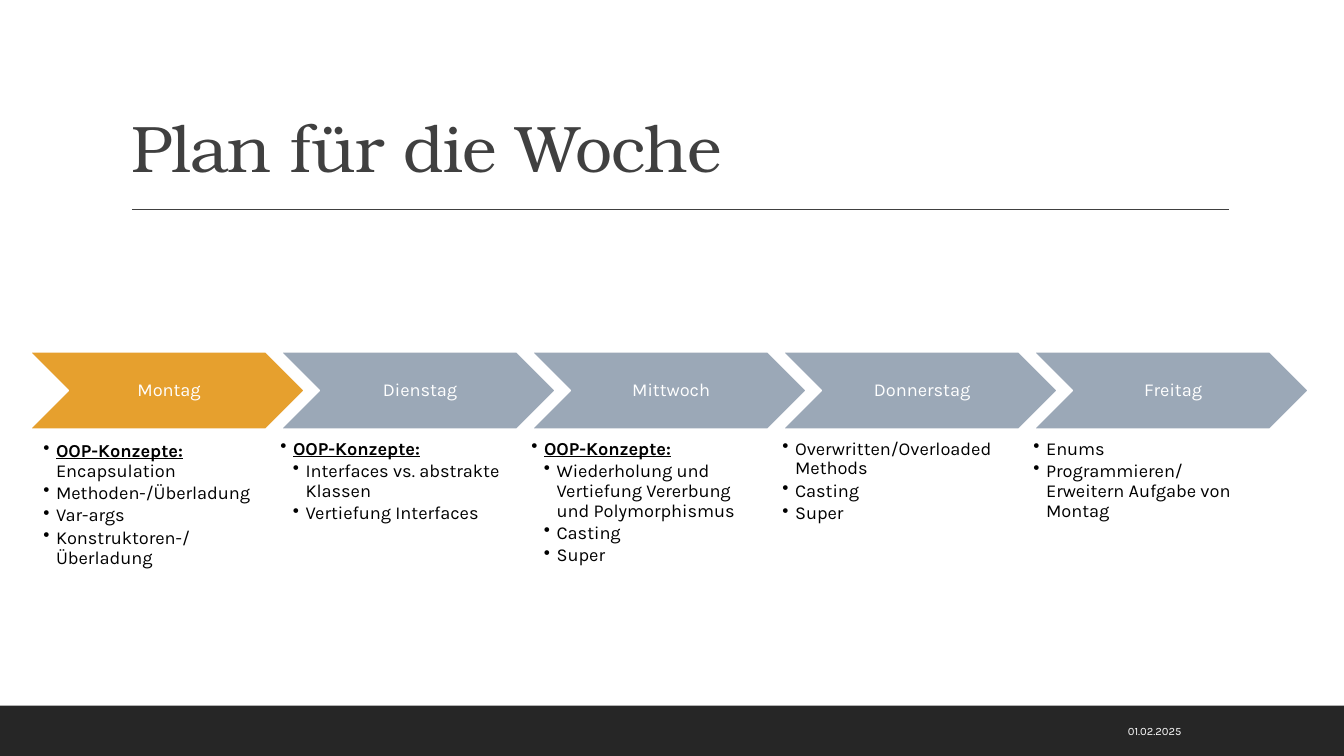
from lxml import etree
from pptx import Presentation
from pptx import util as u
from pptx.dml.color import RGBColor
from pptx.enum import shapes, text
from pptx.oxml.ns import qn

Pt = u.Pt
WHITE = RGBColor(0xFF, 0xFF, 0xFF)
BLACK = RGBColor(0, 0, 0)
CHARCOAL = RGBColor(0x26, 0x26, 0x26)
GREY = RGBColor(0x40, 0x40, 0x40)
ORANGE = RGBColor(0xE6, 0xA0, 0x2E)
BLUE_GREY = RGBColor(0x9B, 0xA8, 0xB7)

HEADING_FONT, BODY_FONT = "TeX Gyre Bonum", "Karla"
PAGE_WIDTH, PAGE_HEIGHT = 960, 540
DAY_STEP = 179.3
INDENT = 9

# Each list entry: level, underlined heading, plain text
DAYS = [
    ("Montag", ORANGE, [
        (1, "OOP-Konzepte: ", "Encapsulation"),
        (1, "", "Methoden-/Überladung"),
        (1, "", "Var-args"),
        (1, "", "Konstruktoren-/Überladung")]),
    ("Dienstag", BLUE_GREY, [
        (1, "OOP-Konzepte:", ""),
        (2, "", "Interfaces vs. abstrakte Klassen"),
        (2, "", "Vertiefung Interfaces")]),
    ("Mittwoch", BLUE_GREY, [
        (1, "OOP-Konzepte:", ""),
        (2, "", "Wiederholung und Vertiefung Vererbung und Polymorphismus"),
        (2, "", "Casting"),
        (2, "", "Super")]),
    ("Donnerstag", BLUE_GREY, [
        (1, "", "Overwritten/Overloaded Methods"),
        (1, "", "Casting"),
        (1, "", "Super")]),
    ("Freitag", BLUE_GREY, [
        (1, "", "Enums"),
        (1, "", "Programmieren/Erweitern Aufgabe von Montag")]),
]


def add_span(para, words, size, color, font=BODY_FONT, heading=False):
    span = para.add_run()
    span.text = words
    span.font.name, span.font.size = font, Pt(size)
    span.font.color.rgb = color
    span.font.bold = span.font.underline = heading
    return span


def set_frame(frame, anchor, insets):
    """Insets are left, top, right, bottom."""
    frame.word_wrap = True
    frame.auto_size = text.MSO_AUTO_SIZE.NONE
    frame.vertical_anchor = anchor
    (frame.margin_left, frame.margin_top,
     frame.margin_right, frame.margin_bottom) = map(Pt, insets)


def add_filled(page, kind, box, color):
    shape = page.shapes.add_shape(kind, *map(Pt, box))
    shape.shadow.inherit = False
    shape.fill.solid()
    shape.fill.fore_color.rgb = color
    return shape


def add_heading(page, box):
    left, top, width, height = box
    title = page.shapes.title
    title.left, title.top, title.width, title.height = map(Pt, box)
    set_frame(title.text_frame, text.MSO_ANCHOR.BOTTOM, (7.2, 3.6, 7.2, 3.6))
    para = title.text_frame.paragraphs[0]
    para.alignment = text.PP_ALIGN.LEFT
    para.line_spacing = 0.9
    span = add_span(para, "Plan für die Woche", 47, GREY, HEADING_FONT)
    span.font._element.set("spc", "-50")

    rule_y = Pt(top + height + 12.8)
    rule = page.shapes.add_connector(
        shapes.MSO_CONNECTOR.STRAIGHT, Pt(left + 7.9), rule_y, Pt(left + width - 0.7), rule_y)
    rule.line.color.rgb = GREY
    rule.line.width = Pt(1)
    etree.SubElement(rule._element.spPr, qn("a:effectLst"))


def add_footer(page, box):
    left, top, width, height = box
    bar = add_filled(page, shapes.MSO_SHAPE.RECTANGLE, box, CHARCOAL)
    bar.line.fill.background()
    date = page.shapes.add_textbox(Pt(left + 647.3), Pt(top + 3.6), Pt(203.8), Pt(28.8))
    set_frame(date.text_frame, text.MSO_ANCHOR.MIDDLE, (7.2, 3.6, 7.2, 3.6))
    para = date.text_frame.paragraphs[0]
    para.alignment = text.PP_ALIGN.RIGHT
    add_span(para, "01.02.2025", 8, WHITE)


def add_day_arrow(page, box, day, color):
    arrow = add_filled(page, shapes.MSO_SHAPE.CHEVRON, box, color)
    arrow.line.color.rgb = WHITE
    arrow.line.width = Pt(1.25)
    set_frame(arrow.text_frame, text.MSO_ANCHOR.MIDDLE, (4.3, 1.4, 1.4, 1.4))
    para = arrow.text_frame.paragraphs[0]
    para.alignment = text.PP_ALIGN.CENTER
    para.line_spacing = 0.9
    add_span(para, day, 13, WHITE)


def add_topics(page, box, topics):
    frame = page.shapes.add_textbox(*map(Pt, box)).text_frame
    set_frame(frame, text.MSO_ANCHOR.TOP, (0, 0, 0, 0))
    for index, (level, heading, words) in enumerate(topics):
        para = frame.add_paragraph() if index else frame.paragraphs[0]
        para.level = level
        para.line_spacing = 0.9
        para.space_after = Pt(1.95)
        layout = para._p.get_or_add_pPr()
        layout.set("marL", str(Pt(INDENT * level)))
        layout.set("indent", str(-Pt(INDENT)))
        etree.SubElement(layout, qn("a:buChar")).set("char", "•")
        if heading:
            add_span(para, heading, 13, BLACK, heading=True)
        if words:
            add_span(para, words, 13, BLACK)


def add_week(page, box):
    left, top, width, height = box
    arrow_width = width - DAY_STEP * (len(DAYS) - 1)
    for index, (day, color, topics) in enumerate(DAYS):
        x = left + index * DAY_STEP
        add_day_arrow(page, (x, top, arrow_width, 55.4), day, color)
        # The current day's list sits slightly inside its arrow
        shift_x, shift_y = (10, 1.6) if color == ORANGE else (0, 0)
        add_topics(page, (x + shift_x, top + 62.6 + shift_y, 157, height - 62.6), topics)


def main():
    deck = Presentation()
    deck.slide_width, deck.slide_height = Pt(PAGE_WIDTH), Pt(PAGE_HEIGHT)
    page = deck.slides.add_slide(deck.slide_layouts.get_by_name("Title Only"))
    page.background.fill.solid()
    page.background.fill.fore_color.rgb = WHITE
    add_footer(page, (0, 504, PAGE_WIDTH, 36))
    add_heading(page, (86.4, 22.3, 792, 114.5))
    add_week(page, (21, 251.3, 913.8, 150.4))
    deck.save("out.pptx")


if __name__ == "__main__":
    main()
